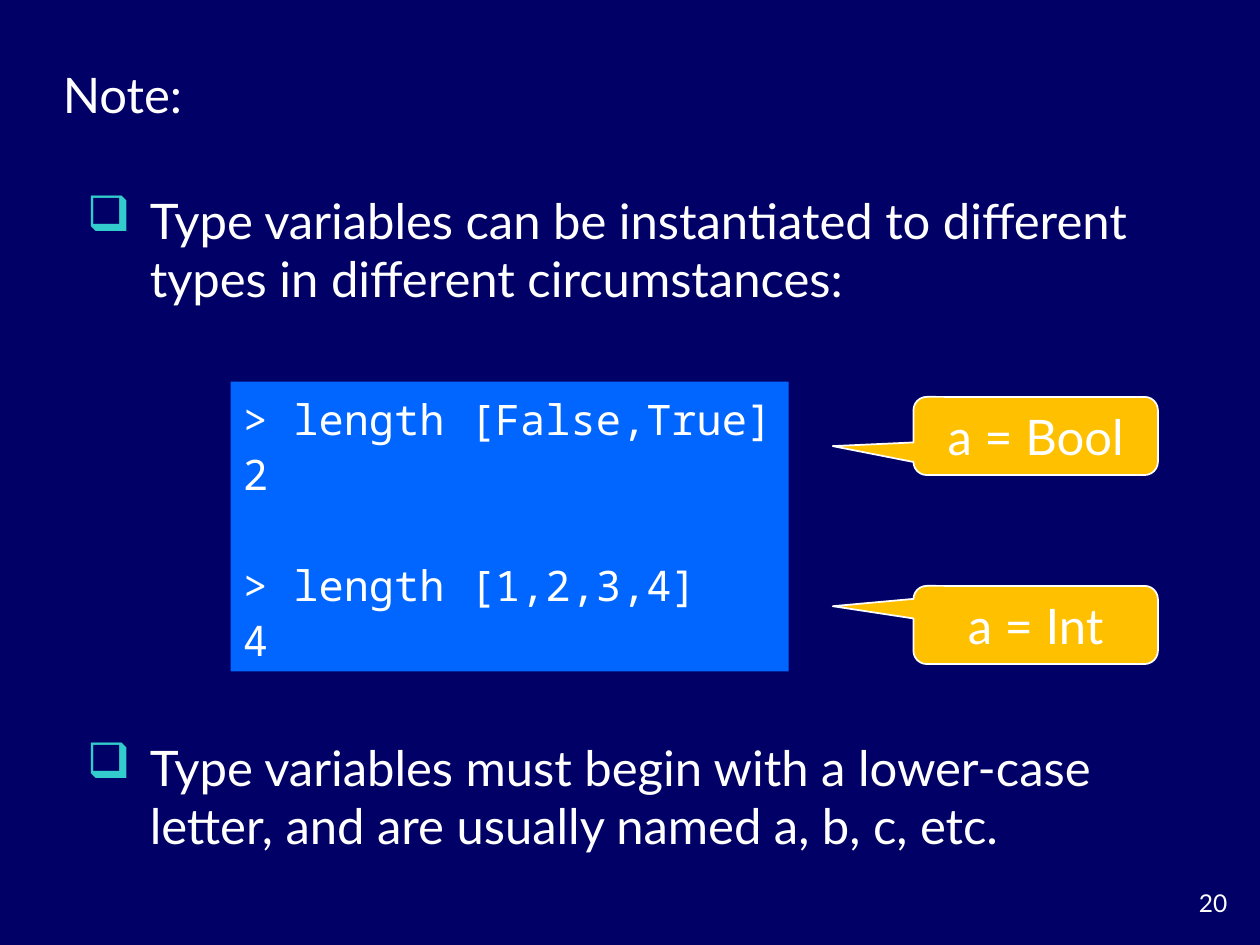
from dataclasses import dataclass, field
from typing import Any

from lxml.etree import SubElement
from pptx import Presentation
from pptx.dml.color import RGBColor
from pptx.enum.shapes import MSO_SHAPE as Preset
from pptx.enum.text import MSO_ANCHOR as Anchor, MSO_AUTO_SIZE as AutoSize, PP_ALIGN as Align
from pptx.oxml.ns import qn
from pptx.util import Inches, Pt

COLORS = {
    "background": "000066",
    "text": "FFFFFF",
    "bullet": "33CCCC",
    "code": "0066FF",
    "callout": "FFC000",
}
BODY_FONT = "Lato"
CODE_FONT = "Noto Sans Mono"
GROWING = {"vertical_anchor": Anchor.MIDDLE, "auto_size": AutoSize.SHAPE_TO_FIT_TEXT}


@dataclass
class Box:
    left: float
    top: float
    width: float
    height: float

    def lengths(self) -> list[int]:
        return [Inches(v) for v in (self.left, self.top, self.width, self.height)]


@dataclass
class Style:
    size: float = 28
    font: str = BODY_FONT
    frame: dict[str, Any] = field(default_factory=lambda: {"word_wrap": True})
    paragraph: dict[str, Any] = field(default_factory=dict)


@dataclass
class Callout:
    text: str
    top: float
    tip: tuple[float, float]


def rgb(name: str) -> RGBColor:
    return RGBColor.from_string(COLORS[name])


def apply(target: Any, values: dict[str, Any]) -> None:
    for key, value in values.items():
        setattr(target, key, value)


def write(shape: Any, lines: list[str], style: Style) -> None:
    frame = shape.text_frame
    apply(frame, style.frame)
    for index, line in enumerate(lines):
        paragraph = frame.add_paragraph() if index else frame.paragraphs[0]
        apply(paragraph, {"alignment": Align.LEFT} | style.paragraph)
        run = paragraph.add_run()
        run.text = line
        apply(run.font, {"name": style.font, "size": Pt(style.size)})
        run.font.color.rgb = rgb("text")


def add_text(slide: Any, box: Box, text: str, style: Style) -> Any:
    shape = slide.shapes.add_textbox(*box.lengths())
    write(shape, [text], style)
    return shape


def add_bullet(slide: Any, box: Box, text: str) -> None:
    shape = add_text(slide, box, text, Style())
    properties = shape.text_frame.paragraphs[0]._p.get_or_add_pPr()
    properties.set("marL", str(Inches(0.5)))
    properties.set("indent", str(Inches(-0.5)))
    bullet_color = SubElement(properties, qn("a:buClr"))
    SubElement(bullet_color, qn("a:srgbClr"), val=COLORS["bullet"])
    SubElement(properties, qn("a:buChar"), char="❑")


def add_panel(slide: Any, preset: Preset, box: Box, fill: str) -> Any:
    shape = slide.shapes.add_shape(preset, *box.lengths())
    shape.shadow.inherit = False
    shape.fill.solid()
    shape.fill.fore_color.rgb = rgb(fill)
    return shape


def add_code(slide: Any, box: Box, lines: list[str], second_command: int) -> None:
    panel = add_panel(slide, Preset.RECTANGLE, box, "code")
    panel.line.fill.background()
    write(panel, lines, Style(24, CODE_FONT, GROWING | {"word_wrap": False}, {"line_spacing": 1.1}))
    panel.text_frame.paragraphs[second_command].space_before = Pt(31.5)


def add_callout(slide: Any, callout: Callout) -> None:
    box = Box(7.25, callout.top, 1.94, 0.62)
    shape = add_panel(slide, Preset.ROUNDED_RECTANGULAR_CALLOUT, box, "callout")
    for index, value in enumerate((*callout.tip, 0.17)):
        shape.adjustments[index] = value
    shape.line.color.rgb = rgb("text")
    shape.line.width = Pt(1)
    write(shape, [callout.text], Style(frame=GROWING | {"word_wrap": True}, paragraph={"alignment": Align.CENTER}))


def main() -> None:
    deck = Presentation()
    apply(deck, {"slide_width": Inches(10), "slide_height": Inches(7.5)})
    slide = deck.slides.add_slide(deck.slide_layouts[6])
    slide.background.fill.solid()
    slide.background.fill.fore_color.rgb = rgb("background")

    add_text(slide, Box(9.17, 7, 0.67, 0.33), "20", Style(14, paragraph={"alignment": Align.RIGHT}))
    add_text(slide, Box(0.4, 0.46, 1.15, 0.57), "Note:", Style(frame=GROWING | {"word_wrap": False}))

    add_bullet(
        slide,
        Box(0.59, 1.46, 9.01, 1.18),
        "Type variables can be instantiated to different types in different circumstances:",
    )
    add_bullet(
        slide,
        Box(0.59, 5.8, 9.01, 1.05),
        "Type variables must begin with a lower-case letter, and are usually named a, b, c, etc.",
    )

    session = ["> length [False,True]", "2", "> length [1,2,3,4]", "4"]
    add_code(slide, Box(1.83, 3.03, 4.43, 2.3), session, second_command=2)

    for callout in (
        Callout("a = Bool", 3.15, (-0.83, 0.13)),
        Callout("a = Int", 4.65, (-0.83, -0.24)),
    ):
        add_callout(slide, callout)

    deck.save("out.pptx")


if __name__ == "__main__":
    main()
